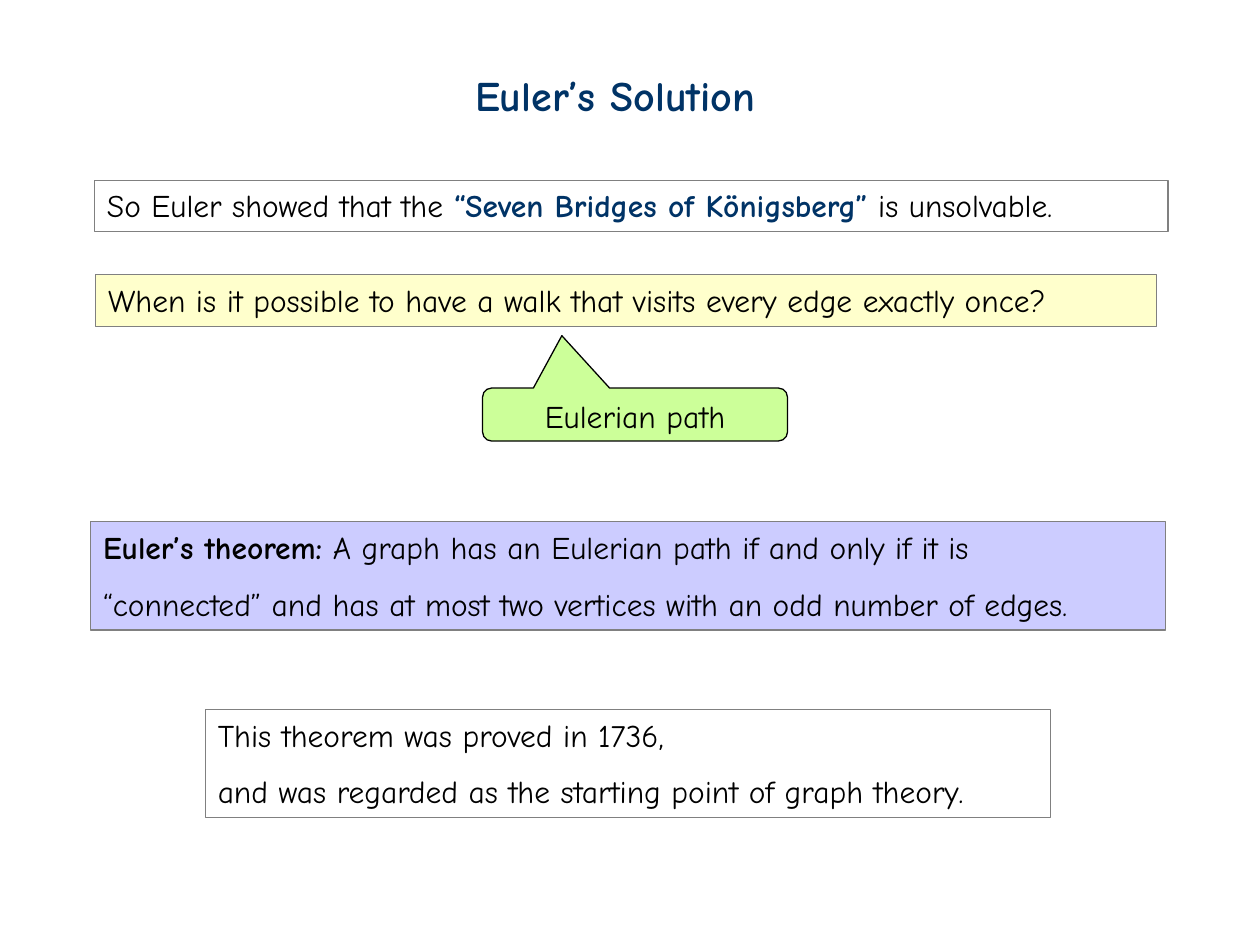
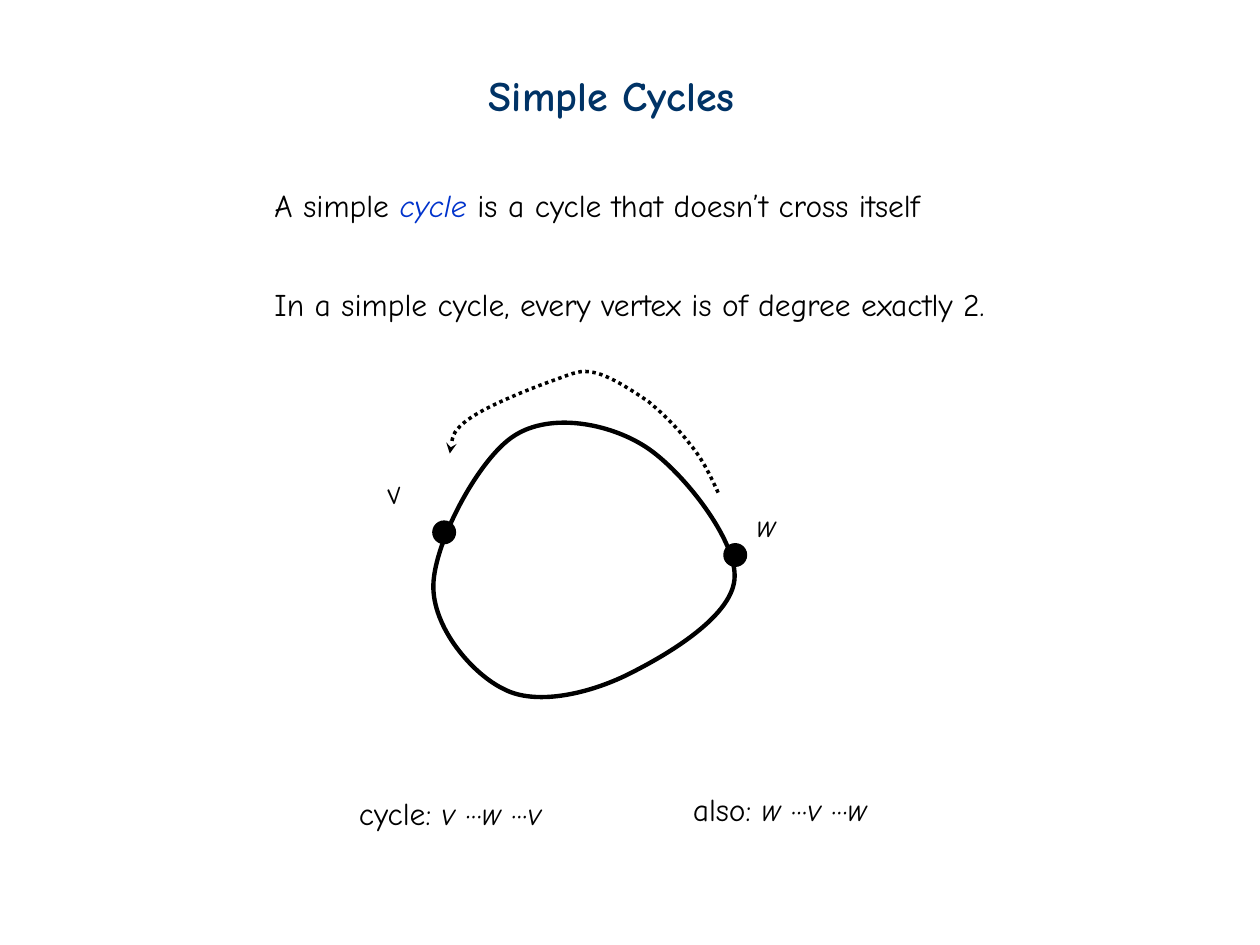
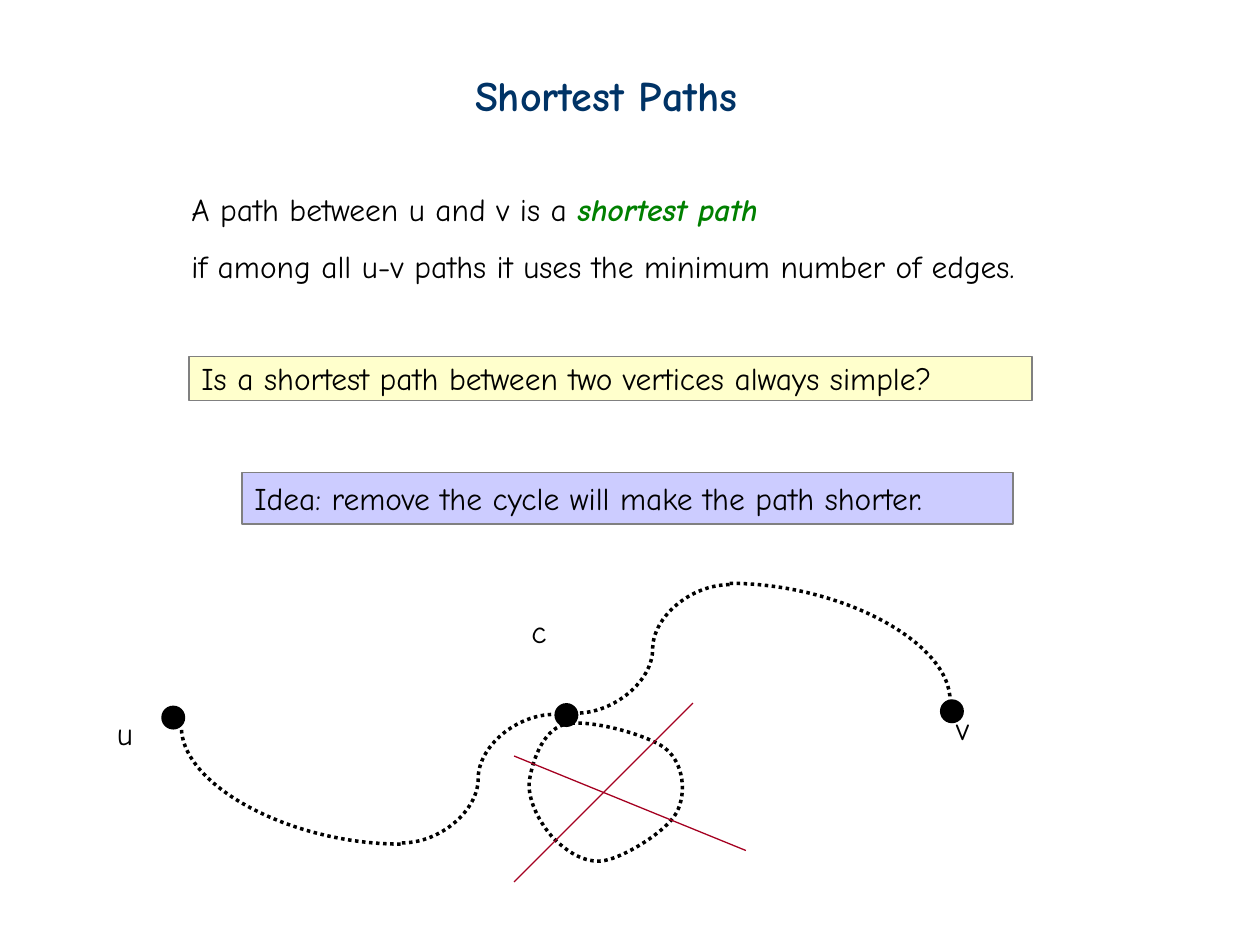
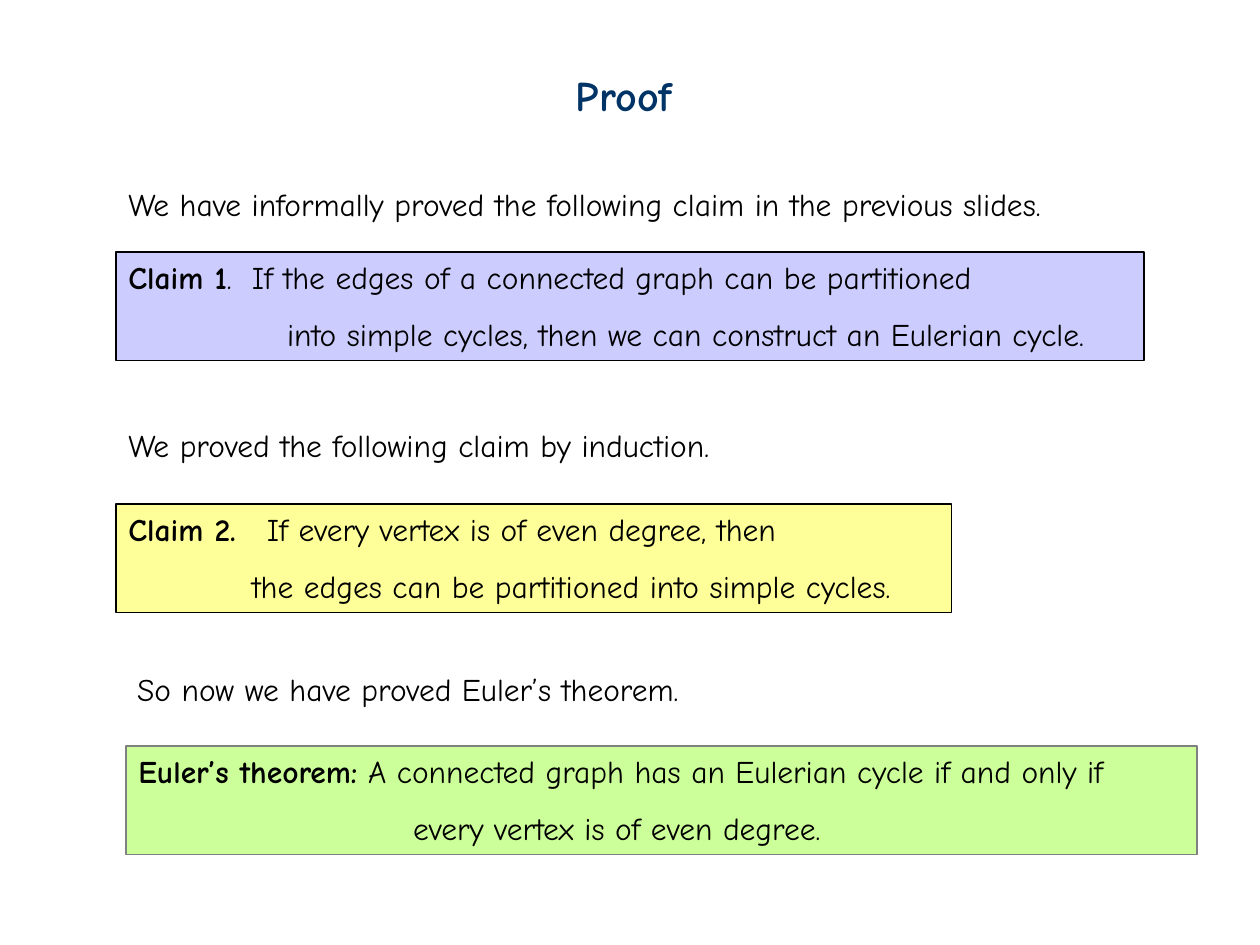
from dataclasses import dataclass
from typing import Optional

from lxml.etree import SubElement
from pptx import Presentation
from pptx.dml.color import RGBColor
from pptx.enum.dml import MSO_LINE
from pptx.enum.shapes import MSO_CONNECTOR, MSO_SHAPE
from pptx.enum.text import MSO_ANCHOR, PP_ALIGN
from pptx.oxml.ns import qn
from pptx.util import Inches, Pt

FONT = "Comic Neue"
NAVY = RGBColor(0x00, 0x33, 0x66)
BLACK = RGBColor(0x00, 0x00, 0x00)
GRAY = RGBColor(0x80, 0x80, 0x80)
BLUE = RGBColor(0x00, 0x33, 0xCC)
GREEN = RGBColor(0x00, 0x80, 0x00)
RED = RGBColor(0xA5, 0x00, 0x21)
CREAM = RGBColor(0xFF, 0xFF, 0xCC)
YELLOW = RGBColor(0xFF, 0xFF, 0x99)
LILAC = RGBColor(0xCC, 0xCC, 0xFF)
LIME = RGBColor(0xCC, 0xFF, 0x99)

TITLE_TOP, TITLE_HEIGHT = 0.5, 0.5
LABEL_HEIGHT, BOX_HEIGHT, TWO_LINES = 0.4, 0.41, 0.86
DOT = 0.19

Point = tuple[float, float]


@dataclass(frozen=True)
class Run:
    text: str
    color: Optional[RGBColor] = None
    bold: bool = False
    italic: bool = False


@dataclass(frozen=True)
class Para:
    runs: tuple[Run, ...]
    indent: float = 0
    hanging: float = 0
    spacing: float = 1.0


@dataclass(frozen=True)
class Box:
    """Text at a place; framed when it has a line colour."""
    left: float
    top: float
    width: float
    height: float
    paras: tuple[Para, ...]
    line: Optional[RGBColor] = None
    fill: Optional[RGBColor] = None
    rotation: float = 0


def para(*parts, indent: float = 0, hanging: float = 0, spacing: float = 1.0) -> Para:
    runs = tuple(Run(part) if isinstance(part, str) else part for part in parts)
    return Para(runs, indent, hanging, spacing)


def second(text: str, indent: float = 0) -> Para:
    """Second line of a statement, set wider apart."""
    return para(text, indent=indent, spacing=1.5)


def bold(text: str, color: Optional[RGBColor] = None) -> Run:
    return Run(text, color, bold=True)


def italic(text: str) -> Run:
    return Run(text, italic=True)


def label(left: float, top: float, width: float, *parts, rotation: float = 0) -> Box:
    return Box(left, top, width, LABEL_HEIGHT, (para(*parts),), rotation=rotation)


def place(shape, left: float, top: float, width: float, height: float) -> None:
    shape.left, shape.top = Inches(left), Inches(top)
    shape.width, shape.height = Inches(width), Inches(height)


def write(tf, paras: tuple[Para, ...], size: int = 18, color: RGBColor = BLACK,
          align: PP_ALIGN = PP_ALIGN.LEFT) -> None:
    tf.word_wrap = True
    tf.vertical_anchor = MSO_ANCHOR.TOP
    for i, item in enumerate(paras):
        p = tf.add_paragraph() if i else tf.paragraphs[0]
        p.alignment, p.line_spacing = align, item.spacing
        p.font.name, p.font.size, p.font.color.rgb = FONT, Pt(size), color
        pPr = p._p.get_or_add_pPr()
        pPr.set("marL", str(Inches(item.indent)))
        pPr.set("indent", str(-Inches(item.hanging)))
        for part in item.runs:
            r = p.add_run()
            r.text = part.text
            if part.color is not None:
                r.font.color.rgb = part.color
            if part.bold:
                r.font.bold = True
            if part.italic:
                r.font.italic = True


def add_slide(prs, title: str, left: float, width: float):
    s = prs.slides.add_slide(prs.slide_layouts[5])
    place(s.shapes.title, left, TITLE_TOP, width, TITLE_HEIGHT)
    write(s.shapes.title.text_frame, (para(bold(title)),), 24, NAVY)
    return s


def add_preset(s, preset: MSO_SHAPE, left: float, top: float, width: float, height: float,
               fill: Optional[RGBColor], line: Optional[RGBColor]):
    sp = s.shapes.add_shape(preset, Inches(left), Inches(top), Inches(width), Inches(height))
    sp.shadow.inherit = False
    if fill is None:
        sp.fill.background()
    else:
        sp.fill.solid()
        sp.fill.fore_color.rgb = fill
    if line is None:
        sp.line.fill.background()
    else:
        sp.line.color.rgb, sp.line.width = line, Pt(0.75)
    return sp


def add_box(s, box: Box) -> None:
    place_at = (box.left, box.top, box.width, box.height)
    if box.line is None:
        sp = s.shapes.add_textbox(*map(Inches, place_at))
    else:
        sp = add_preset(s, MSO_SHAPE.RECTANGLE, *place_at, box.fill, box.line)
    sp.rotation = box.rotation
    write(sp.text_frame, box.paras)


def add_dot(s, left: float, top: float) -> None:
    add_preset(s, MSO_SHAPE.OVAL, left, top, DOT, DOT, BLACK, None)


def style_line(line, color: RGBColor, width: float, dotted: bool) -> None:
    line.color.rgb, line.width = color, Pt(width)
    if dotted:
        line.dash_style = MSO_LINE.ROUND_DOT


def add_curve(s, points: list[Point], width: float, closed: bool = False,
              dotted: bool = False, arrow: bool = False) -> None:
    """Draw Bézier segments: a start, then two controls and an end for each."""
    start, *rest = [(Inches(x), Inches(y)) for x, y in points]
    builder = s.shapes.build_freeform(*start)
    builder.add_line_segments(rest, close=closed)
    sp = builder.convert_to_shape()
    segments = list(sp._element.iter(qn("a:lnTo")))
    # A closing line back to the start may follow the whole segments.
    for i in range(0, len(rest), 3):
        first, *others = segments[i:i + 3]
        first.tag = qn("a:cubicBezTo")
        for other in others:
            first.append(other[0])
            other.getparent().remove(other)
    sp.shadow.inherit = False
    sp.fill.background()
    style_line(sp.line, BLACK, width, dotted)
    if arrow:
        SubElement(sp.line._get_or_add_ln(), qn("a:tailEnd"), type="stealth")


def add_link(s, begin: Point, end: Point, color: RGBColor, width: float,
             preset: str = "line", dotted: bool = False) -> None:
    kind = MSO_CONNECTOR.STRAIGHT if preset == "line" else MSO_CONNECTOR.CURVE
    cxn = s.shapes.add_connector(kind, *map(Inches, begin + end))
    spPr = cxn._element.spPr
    spPr.find(qn("a:prstGeom")).set("prst", preset)
    style_line(cxn.line, color, width, dotted)
    SubElement(spPr, qn("a:effectLst"))


def build_solution(prs) -> None:
    s = add_slide(prs, "Euler’s Solution", 3.67, 2.67)
    for box in (
        Box(0.75, 1.43, 8.52, BOX_HEIGHT, (para(
            "So Euler showed that the ", bold("“Seven Bridges of Königsberg”", NAVY),
            " is unsolvable."),), GRAY),
        Box(0.76, 2.18, 8.42, BOX_HEIGHT, (para(
            "When is it possible to have a walk that visits every edge exactly once?"),),
            GRAY, CREAM),
        Box(0.72, 4.14, 8.53, TWO_LINES, (
            para(bold("Euler’s theorem:"), " A graph has an Eulerian path if and only if it is"),
            second("“connected” and has at most two vertices with an odd number of edges.")),
            GRAY, LILAC),
        Box(1.63, 5.63, 6.71, TWO_LINES, (
            para("This theorem was proved in 1736,"),
            second("and was regarded as the starting point of graph theory.")), GRAY),
    ):
        add_box(s, box)
    callout = add_preset(s, MSO_SHAPE.ROUNDED_RECTANGULAR_CALLOUT,
                         3.83, 3.08, 2.42, 0.42, LIME, BLACK)
    for i, value in enumerate((-0.24, -1.49, 0.17)):
        callout.adjustments[i] = value
    write(callout.text_frame, (para("Eulerian path"),), align=PP_ALIGN.CENTER)


def build_cycles(prs) -> None:
    s = add_slide(prs, "Simple Cycles", 3.78, 2.39)
    add_curve(s, [
        (3.44, 4.64),
        (3.45, 4.3), (3.8, 3.64), (4.08, 3.46),
        (4.37, 3.27), (4.84, 3.36), (5.13, 3.55),
        (5.42, 3.74), (5.86, 4.3), (5.83, 4.6),
        (5.8, 4.91), (5.26, 5.22), (4.95, 5.37),
        (4.65, 5.51), (4.25, 5.6), (4, 5.47),
        (3.75, 5.35), (3.43, 4.98), (3.44, 4.64)], 2.5, closed=True)
    add_curve(s, [
        (5.7, 3.91),
        (5.64, 3.78), (5.58, 3.65), (5.48, 3.53),
        (5.39, 3.41), (5.27, 3.29), (5.15, 3.19),
        (5.02, 3.1), (4.85, 2.99), (4.73, 2.96),
        (4.6, 2.93), (4.56, 2.96), (4.39, 3.02),
        (4.22, 3.08), (3.87, 3.22), (3.73, 3.32),
        (3.6, 3.41), (3.58, 3.5), (3.57, 3.6)], 2, dotted=True, arrow=True)
    for left, top in ((5.74, 4.31), (3.43, 4.13)):
        add_dot(s, left, top)
    for box in (
        label(2.08, 1.43, 5.89, "A simple ", Run("cycle", BLUE, italic=True),
              " is a cycle that doesn’t cross itself"),
        label(2.08, 2.21, 6.49, "In a simple cycle, every vertex is of degree exactly 2."),
        label(2.97, 3.7, 0.32, italic("v"), rotation=-13.5),
        label(5.91, 3.97, 0.37, italic("w")),
        label(2.75, 6.25, 1.88, "cycle:", italic(" v"), " ···", italic("w "), "···", italic("v")),
        label(5.4, 6.22, 1.79, "also:", italic(" w"), " ···", italic("v "), "···", italic("w")),
    ):
        add_box(s, box)


def build_shortest(prs) -> None:
    s = add_slide(prs, "Shortest Paths", 3.67, 2.64)
    for begin, end, preset in (
        ((3.18, 6.7), (1.44, 5.77), "curvedConnector2"),
        ((3.19, 6.69), (4.4, 5.67), "curvedConnector3"),
        ((5.79, 4.63), (7.54, 5.56), "curvedConnector2"),
        ((5.79, 4.64), (4.57, 5.66), "curvedConnector3"),
    ):
        add_link(s, begin, end, BLACK, 2, preset, dotted=True)
    add_curve(s, [
        (4.48, 5.75),
        (4.66, 5.7), (5.14, 5.83), (5.28, 5.94),
        (5.43, 6.06), (5.45, 6.3), (5.37, 6.45),
        (5.29, 6.6), (4.96, 6.8), (4.8, 6.83),
        (4.64, 6.86), (4.49, 6.75), (4.39, 6.65),
        (4.29, 6.54), (4.19, 6.36), (4.2, 6.21),
        (4.22, 6.06), (4.3, 5.8), (4.48, 5.75)], 2, closed=True, dotted=True)
    for left, top in ((1.28, 5.6), (4.4, 5.58), (7.46, 5.55)):
        add_dot(s, left, top)
    for begin, end in (((4.08, 7), (5.5, 5.58)), ((4.08, 6), (5.92, 6.75))):
        add_link(s, begin, end, RED, 0.75)
    for box in (
        Box(1.42, 1.46, 7.14, 0.85, (
            para("A path between u and v is a ", Run("shortest path", GREEN, True, True)),
            second("if among all u-v paths it uses the minimum number of edges."))),
        Box(1.5, 2.83, 6.69, 0.35, (para(
            "Is a shortest path between two vertices always simple?",
            indent=0.38, hanging=0.38, spacing=0.9),), GRAY, CREAM),
        Box(1.92, 3.75, 6.12, BOX_HEIGHT, (para(
            "Idea: remove the cycle will make the path shorter."),), GRAY, LILAC),
        label(0.83, 5.62, 0.33, "u"),
        label(7.49, 5.58, 0.55, "v"),
        label(4.12, 4.81, 0.33, "c"),
    ):
        add_box(s, box)


def build_proof(prs) -> None:
    s = add_slide(prs, "Proof", 4.47, 1.06)
    for box in (
        label(0.92, 1.42, 8.14,
              "We have informally proved the following claim in the previous slides."),
        Box(0.92, 2, 8.16, TWO_LINES, (
            para(bold("Claim 1"), ".\tIf the edges of a connected graph can be partitioned",
                 indent=0.98, hanging=0.98),
            second("into simple cycles, then we can construct an Eulerian cycle.", 1.26)),
            BLACK, LILAC),
        label(0.92, 3.33, 5.25, "We proved the following claim by induction."),
        Box(0.92, 4, 6.63, TWO_LINES, (
            para(bold("Claim 2."), "\tIf every vertex is of even degree, then",
                 indent=1.1, hanging=1.1),
            second("the edges can be partitioned into simple cycles.", 0.98)),
            BLACK, YELLOW),
        label(0.99, 5.27, 4.84, "So now we have proved Euler’s theorem."),
        Box(1, 5.92, 8.5, TWO_LINES, (
            para(bold("Euler’s theorem:"),
                 " A connected graph has an Eulerian cycle if and only if"),
            second("every vertex is of even degree.", 2.18)), GRAY, LIME),
    ):
        add_box(s, box)


def main() -> None:
    prs = Presentation()
    prs.slide_width, prs.slide_height = Inches(10), Inches(7.5)
    for build in (build_solution, build_cycles, build_shortest, build_proof):
        build(prs)
    prs.save("out.pptx")


if __name__ == "__main__":
    main()
